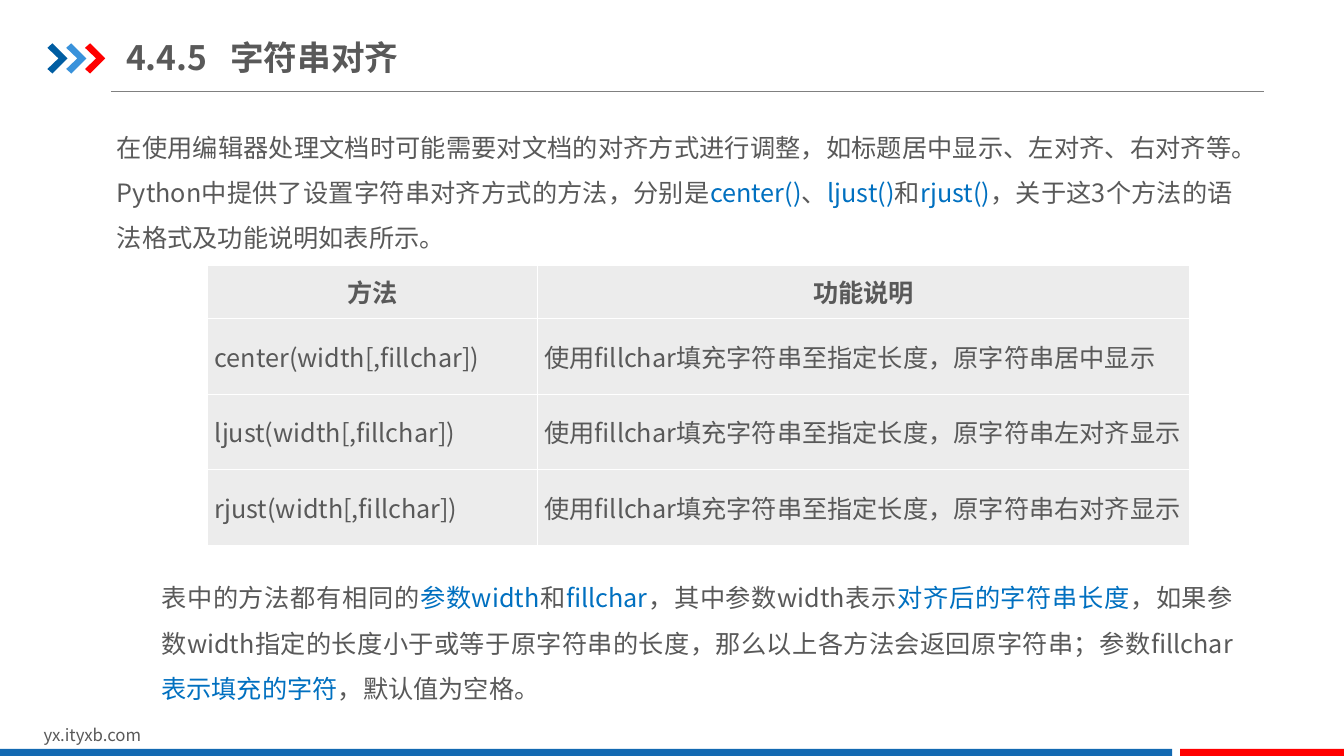
from dataclasses import dataclass
from itertools import product

from lxml.etree import SubElement
from pptx import Presentation
from pptx.dml.color import RGBColor as Color
from pptx.enum.shapes import MSO_CONNECTOR as Connector, MSO_SHAPE as Preset
from pptx.enum.text import MSO_ANCHOR as Anchor, MSO_AUTO_SIZE as AutoSize, PP_ALIGN as Align
from pptx.oxml import parse_xml
from pptx.oxml.ns import nsdecls, qn
from pptx.util import Inches, Pt


@dataclass(frozen=True)
class Theme:
    font: str = "Noto Sans CJK SC"
    text: str = "595959"
    accent: str = "0070C0"
    rule: str = "808080"
    cell: str = "ECECEC"
    border: str = "FFFFFF"
    bar: str = "1369B2"
    red: str = "FF0000"
    chevrons: tuple = ("005DA2", "3992DB", "FF0000")
    title_size: int = 24
    body_size: int = 18
    footer_size: int = 12


BODY_MARGINS = {"margin_left": Inches(0.13), "margin_right": Inches(0.13),
                "margin_top": Inches(0.07), "margin_bottom": Inches(0.07)}
TITLE_MARGINS = {**BODY_MARGINS, "margin_left": 0, "margin_right": 0}
CELL_MARGINS = {"margin_left": Inches(0.07), "margin_right": Inches(0.07),
                "margin_top": 0, "margin_bottom": 0}
BODY_PARAGRAPH = {"alignment": Align.JUSTIFY, "line_spacing": 1.5}
CHEVRON = ((0, 0.15), (0.25, 0), (1, 0.5), (0.25, 1), (0, 0.85), (0.55, 0.5))


def apply_format(target, values):
    for name, value in values.items():
        setattr(target, name, value)


class SlideBuilder:
    """Draws on one slide; lengths are hundredths of its width and height."""

    def __init__(self, presentation, theme):
        self.theme = theme
        self.column = presentation.slide_width / 100
        self.row = presentation.slide_height / 100
        self.slide = presentation.slides.add_slide(presentation.slide_layouts[6])

    def place(self, *shares):
        """Turn alternating column and row shares into slide lengths."""
        units = (self.column, self.row)
        return [round(share * units[i % 2]) for i, share in enumerate(shares)]

    def paint(self, shape, color):
        shape.shadow.inherit = False
        shape.fill.solid()
        shape.fill.fore_color.rgb = Color.from_string(color)
        shape.line.fill.background()

    def rule(self, left, right, top):
        line = self.slide.shapes.add_connector(
            Connector.STRAIGHT, *self.place(left, top, right, top))
        line.line.color.rgb = Color.from_string(self.theme.rule)
        line.line.width = Pt(0.75)
        SubElement(line._element.spPr, qn("a:effectLst"))

    def bar(self, box, color):
        self.paint(self.slide.shapes.add_shape(Preset.RECTANGLE, *self.place(*box)), color)

    def chevron(self, box, color):
        left, top, width, height = self.place(*box)
        points = [(round(left + x * width), round(top + y * height)) for x, y in CHEVRON]
        builder = self.slide.shapes.build_freeform(*points[0])
        builder.add_line_segments(points[1:], close=True)
        self.paint(builder.convert_to_shape(), color)

    def add_runs(self, paragraph, text, size, bold=False):
        """Add runs; each second part between bars takes the accent colour."""
        for index, part in enumerate(text.split("|")):
            run = paragraph.add_run()
            run.text = part
            apply_format(run.font, {"name": self.theme.font, "size": Pt(size), "bold": bold})
            color = self.theme.accent if index % 2 else self.theme.text
            run.font.color.rgb = Color.from_string(color)
            SubElement(run.font._element, qn("a:ea"), typeface=self.theme.font)

    def text(self, box, text, size, bold=False, frame_format=None,
             paragraph_format=None, tab=None):
        frame = self.slide.shapes.add_textbox(*self.place(*box)).text_frame
        apply_format(frame, {"word_wrap": True, **(frame_format or {})})
        paragraph = frame.paragraphs[0]
        apply_format(paragraph, paragraph_format or {})
        if tab:
            stops = SubElement(paragraph._p.get_or_add_pPr(), qn("a:tabLst"))
            SubElement(stops, qn("a:tab"), pos=str(self.place(tab)[0]), algn="l")
        self.add_runs(paragraph, text, size, bold)

    def cell(self, cell, text, header):
        cell.fill.solid()
        cell.fill.fore_color.rgb = Color.from_string(self.theme.cell)
        cell.vertical_anchor = Anchor.MIDDLE
        if not header:
            apply_format(cell, CELL_MARGINS)
        for index, side in enumerate("LRTB"):
            cell._tc.tcPr.insert(index, parse_xml(
                f'<a:ln{side} {nsdecls("a")} w="12700"><a:solidFill>'
                f'<a:srgbClr val="{self.theme.border}"/></a:solidFill></a:ln{side}>'))
        paragraph = cell.text_frame.paragraphs[0]
        paragraph.alignment = Align.CENTER if header else Align.LEFT
        self.add_runs(paragraph, text, self.theme.body_size, bold=header)

    def table(self, left, top, widths, heights, content):
        box = self.place(left, top, sum(widths), sum(heights))
        table = self.slide.shapes.add_table(len(heights), len(widths), *box).table
        table.horz_banding = False
        for column, width in zip(table.columns, widths):
            column.width = round(width * self.column)
        for row, height in zip(table.rows, heights):
            row.height = round(height * self.row)
        for row, column in product(range(len(heights)), range(len(widths))):
            self.cell(table.cell(row, column), content[row][column], header=row == 0)


def main():
    presentation = Presentation()
    presentation.slide_width, presentation.slide_height = Inches(13.33), Inches(7.5)
    theme = Theme()
    slide = SlideBuilder(presentation, theme)

    slide.rule(8.25, 94.05, 12.13)
    for index, color in enumerate(theme.chevrons):
        slide.chevron((3.53 + 1.4 * index, 5.73, 1.5, 4), color)
    slide.text((2.5, 95.2, 23.85, 4), "yx.ityxb.com", theme.footer_size,
               frame_format={"auto_size": AutoSize.SHAPE_TO_FIT_TEXT})
    slide.bar((0, 99.07, 87.22, 0.93), theme.bar)
    slide.bar((87.8, 99.07, 12.2, 0.93), theme.red)

    slide.text((7.73, 14.53, 84.98, 23.33),
               "在使用编辑器处理文档时可能需要对文档的对齐方式进行调整，如标题居中显示、左对齐、右对齐等。"
               "Python中提供了设置字符串对齐方式的方法，分别是|center()|、|ljust()|和|rjust()|"
               "，关于这3个方法的语法格式及功能说明如表所示。",
               theme.body_size, frame_format=BODY_MARGINS, paragraph_format=BODY_PARAGRAPH)

    methods = (("center", "居中"), ("ljust", "左对齐"), ("rjust", "右对齐"))
    content = [("方法", "功能说明")] + [
        (f"{name}(width[,fillchar])", f"使用fillchar填充字符串至指定长度，原字符串{effect}显示")
        for name, effect in methods]
    slide.table(15.45, 35.07, (24.53, 48.53), (7.07, 10, 10, 10), content)

    slide.text((9.38, 3.87, 37.65, 7.33), "4.4.5\t字符串对齐", theme.title_size, bold=True,
               frame_format={**TITLE_MARGINS, "vertical_anchor": Anchor.MIDDLE}, tab=7.75)
    slide.text((11.03, 74.13, 81.68, 20.13),
               "表中的方法都有相同的|参数width|和|fillchar|，其中参数width表示|对齐后的字符串长度|"
               "，如果参数width指定的长度小于或等于原字符串的长度，那么以上各方法会返回原字符串；"
               "参数fillchar|表示填充的字符|，默认值为空格。",
               theme.body_size, frame_format=BODY_MARGINS, paragraph_format=BODY_PARAGRAPH)

    presentation.save("out.pptx")


if __name__ == "__main__":
    main()
